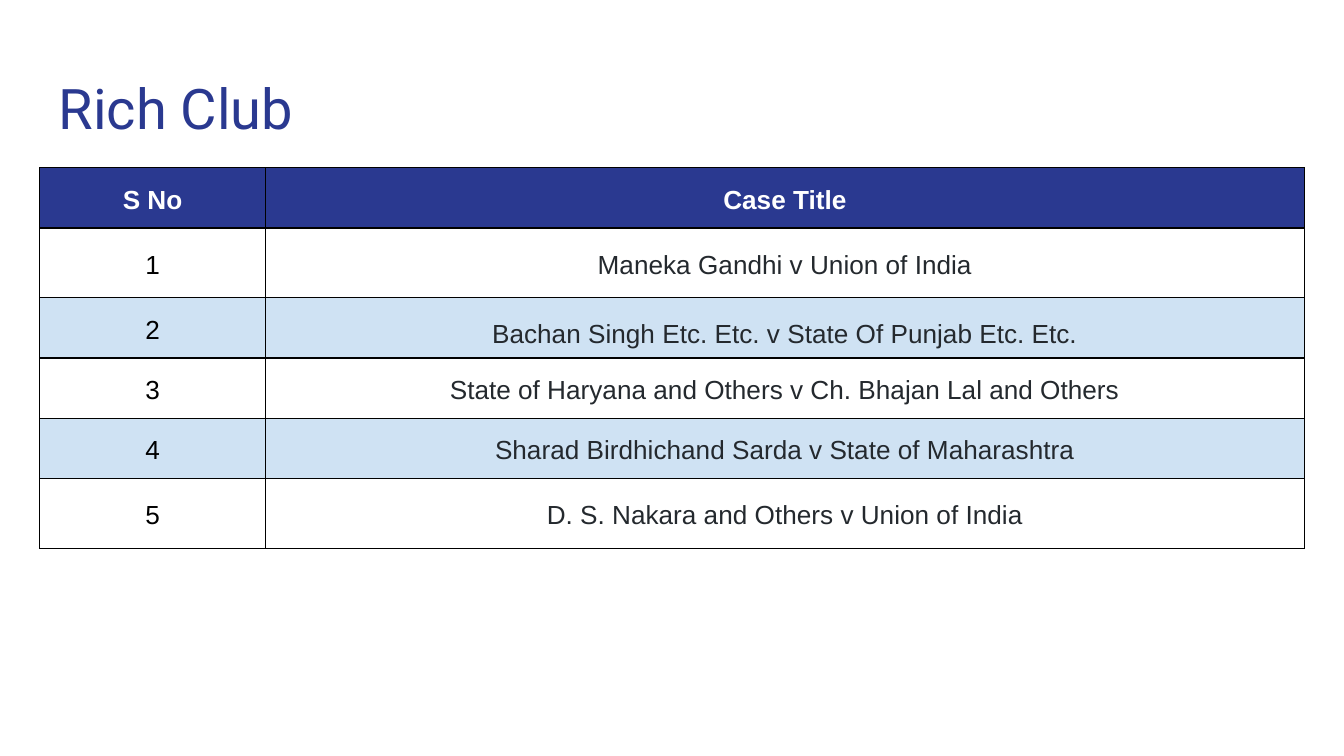
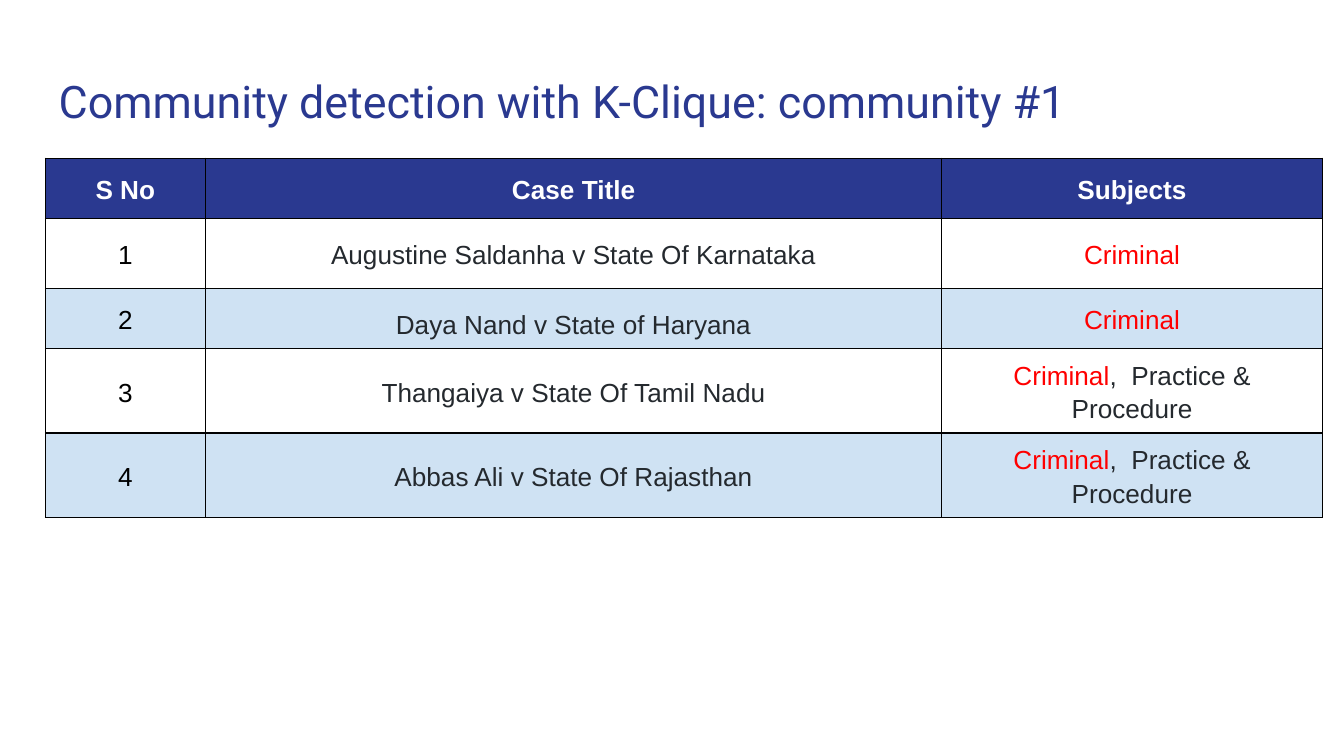
from lxml import etree
from pptx import Presentation
from pptx.dml.color import RGBColor
from pptx.enum import text
from pptx.oxml import ns
from pptx.util import Cm, Pt

COLOURS = {
    "navy": "2A3990",
    "band": "CFE2F3",
    "white": "FFFFFF",
    "black": "000000",
    "ink": "24292E",
    "red": "FF0000",
}
TITLE_ONLY = 5
ROW, TALL_ROW = 1.02, 1.32
NUMBER_INSETS = (0.25, 0.25)
CASE_INSETS = (0.36, 0.16)

CRIMINAL = [("Criminal", "red")]
CRIMINAL_PRACTICE = CRIMINAL + [(",  Practice & Procedure", "ink")]

RICH_CLUB = [
    "Maneka Gandhi v Union of India",
    "Bachan Singh Etc. Etc. v State Of Punjab Etc. Etc.",
    "State of Haryana and Others v Ch. Bhajan Lal and Others",
    "Sharad Birdhichand Sarda v State of Maharashtra",
    "D. S. Nakara and Others v Union of India",
]
COMMUNITY = [
    ("Augustine Saldanha v State Of Karnataka", CRIMINAL),
    ("Daya Nand v State of Haryana", CRIMINAL),
    ("Thangaiya v State Of Tamil Nadu", CRIMINAL_PRACTICE),
    ("Abbas Ali v State Of Rajasthan", CRIMINAL_PRACTICE),
]


def rgb(name):
    return RGBColor.from_string(COLOURS[name])


def write(frame, spans, *, font="Arial", size=14, bold=False, align="CENTER",
          spacing=1.15, before=10, after=0):
    """Fill the first paragraph with (text, colour name) spans."""
    para = frame.paragraphs[0]
    para.alignment = getattr(text.PP_ALIGN, align)
    para.line_spacing = spacing
    para.space_before, para.space_after = Pt(before), Pt(after)
    for words, colour in spans:
        span = para.add_run()
        span.text = words
        span.font.name, span.font.size, span.font.bold = font, Pt(size), bold
        span.font.color.rgb = rgb(colour)


def add_page(deck, title, size):
    page = deck.slides.add_slide(deck.slide_layouts[TITLE_ONLY])
    box = page.shapes.title
    box.left, box.top, box.width, box.height = Cm(0.86), Cm(1.14), Cm(23.67), Cm(1.68)
    frame = box.text_frame
    frame.word_wrap = True
    frame.auto_size = text.MSO_AUTO_SIZE.NONE
    frame.vertical_anchor = text.MSO_ANCHOR.TOP
    frame.margin_left = frame.margin_right = Cm(0.25)
    frame.margin_top = frame.margin_bottom = Cm(0.25)
    write(frame, [(title, "navy")], font="Roboto", size=size, align="LEFT",
          spacing=1.0, before=0)
    return page


def add_borders(cell):
    properties = cell._tc.get_or_add_tcPr()
    for side in ("lnL", "lnR", "lnT", "lnB"):
        line = etree.SubElement(properties, ns.qn(f"a:{side}"), w=str(Pt(0.75)))
        fill = etree.SubElement(line, ns.qn("a:solidFill"))
        etree.SubElement(fill, ns.qn("a:srgbClr"), val=COLOURS["black"])


def fill_cell(cell, spans, fill, *, insets=NUMBER_INSETS, anchor="MIDDLE", **style):
    add_borders(cell)
    cell.fill.solid()
    cell.fill.fore_color.rgb = rgb(fill)
    cell.margin_left = cell.margin_right = Cm(insets[0])
    cell.margin_top = cell.margin_bottom = Cm(insets[1])
    cell.vertical_anchor = getattr(text.MSO_ANCHOR, anchor)
    write(cell.text_frame, spans, **style)


def add_case_table(page, left, top, widths, headings, cases, tall_rows):
    """Numbered, banded table; each case is the list of spans for its columns."""
    heights = [TALL_ROW if row in tall_rows else ROW for row in range(len(cases) + 1)]
    table = page.shapes.add_table(len(heights), len(widths), Cm(left), Cm(top),
                                  Cm(sum(widths)), Cm(sum(heights))).table
    table.first_row = table.horz_banding = False
    for column, width in zip(table.columns, widths):
        column.width = Cm(width)
    for row, height in zip(table.rows, heights):
        row.height = Cm(height)

    for column, heading in enumerate(headings):
        fill_cell(table.cell(0, column), [(heading, "white")], "navy", bold=True)
    for number, case in enumerate(cases, start=1):
        fill = "white" if number % 2 else "band"
        fill_cell(table.cell(number, 0), [(str(number), "black")], fill)
        for column, spans in enumerate(case, start=1):
            low_title = (number, column) == (2, 1)
            fill_cell(table.cell(number, column), spans, fill, insets=CASE_INSETS,
                      anchor="BOTTOM" if low_title else "MIDDLE", after=12)


def main():
    deck = Presentation()
    deck.slide_width, deck.slide_height = Cm(25.4), Cm(14.29)

    page = add_page(deck, "Rich Club", 30)
    add_case_table(page, 0.75, 3.17, (4.27, 19.63), ("S No", "Case Title"),
                   [[[(title, "ink")]] for title in RICH_CLUB], tall_rows=(1, 5))

    page = add_page(deck, "Community detection with K-Clique: community #1", 24)
    add_case_table(page, 0.86, 2.99, (3.02, 13.92, 7.19),
                   ("S No", "Case Title", "Subjects"),
                   [[[(title, "ink")], subjects] for title, subjects in COMMUNITY],
                   tall_rows=(1,))

    deck.save("out.pptx")


if __name__ == "__main__":
    main()
